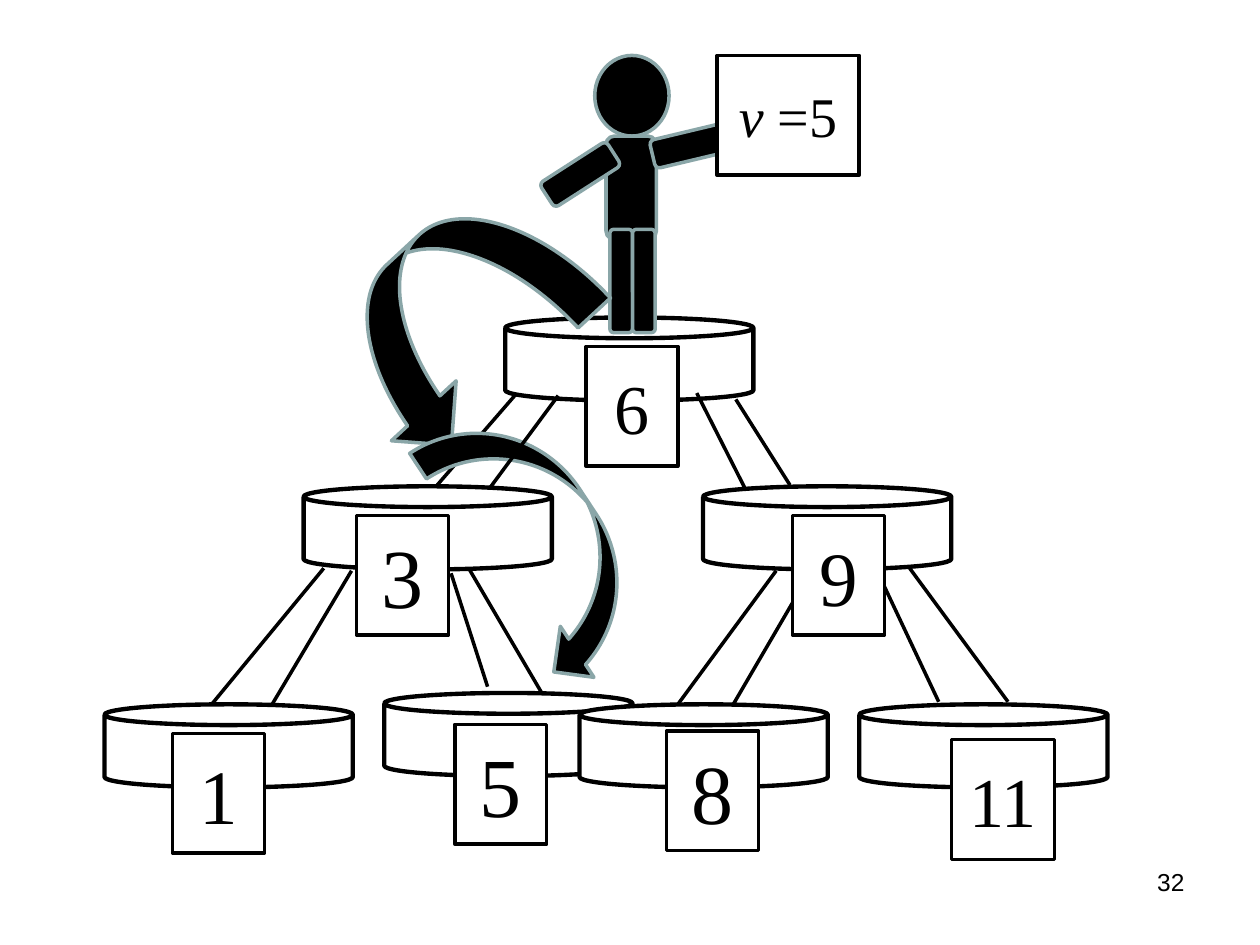
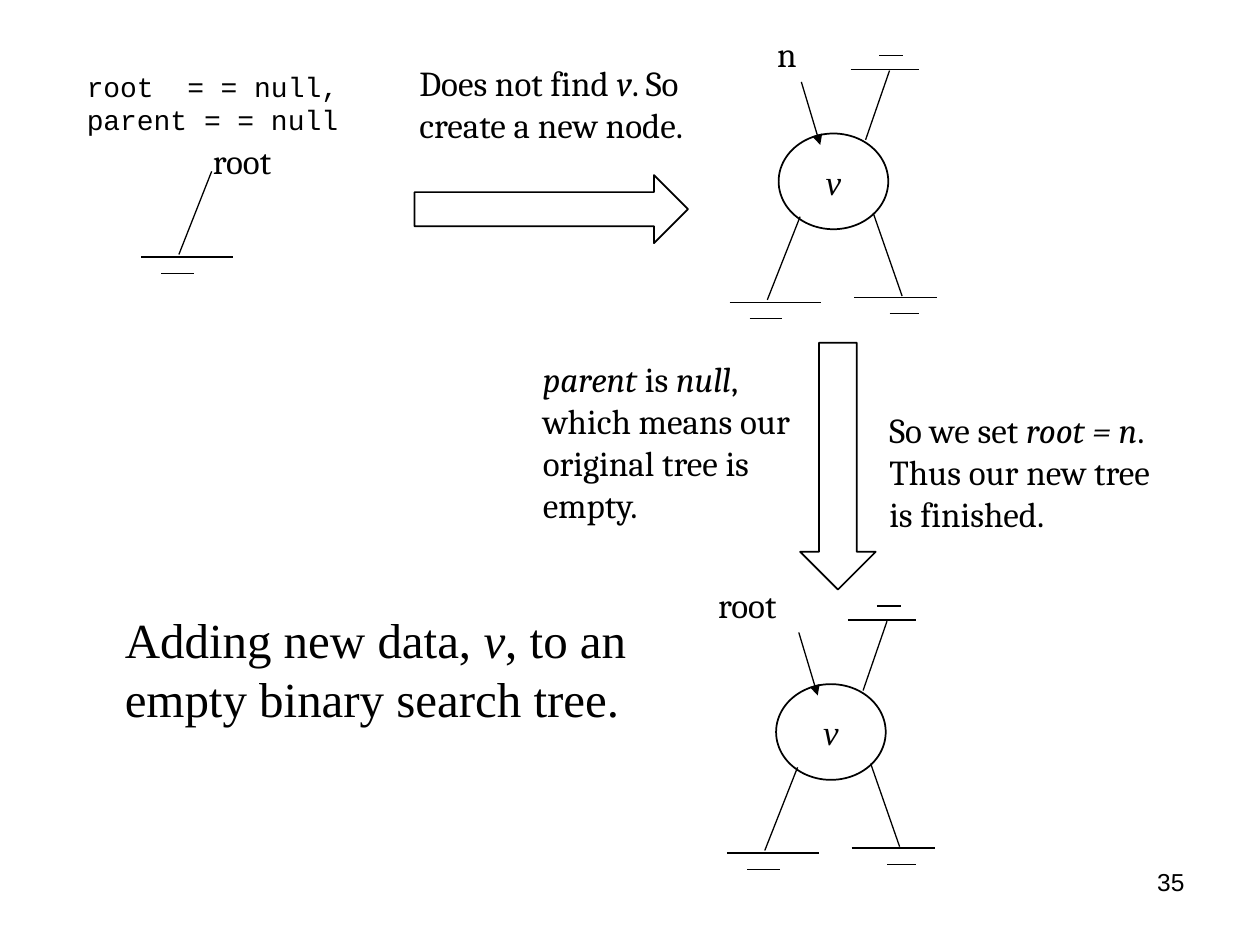
from lxml.etree import SubElement
from pptx import Presentation
from pptx.dml.color import RGBColor
from pptx.enum.shapes import MSO_CONNECTOR, MSO_SHAPE as SHAPE
from pptx.enum.text import MSO_ANCHOR as ANCHOR, MSO_AUTO_SIZE, PP_ALIGN as ALIGN
from pptx.oxml.ns import qn
from pptx.util import Inches, Pt

BLACK = RGBColor(0x00, 0x00, 0x00)
WHITE = RGBColor(0xFF, 0xFF, 0xFF)
GREY_TEAL = RGBColor(0x8A, 0xA6, 0xA8)
SERIF, BODY, CODE, SANS = "Times New Roman", "Cambria", "Courier New", "Arial"
TITLE_ONLY, BLANK = 5, 6


class Deck:
    """Holds the presentation, its style and the current slide."""

    def __init__(self):
        self.prs = Presentation()
        self.prs.slide_width, self.prs.slide_height = Inches(10), Inches(7.5)
        self.slide = None

    def add_slide(self, number, layout=BLANK):
        self.slide = self.prs.slides.add_slide(self.prs.slide_layouts[layout])
        self.text((7.17, 6.83, 2.33, 0.52), [[str(number)]], 14, SANS, ALIGN.RIGHT)

    def fill_text(self, frame, paragraphs, size, font, align=ALIGN.LEFT, anchor=ANCHOR.TOP):
        """Each paragraph is a list of runs; a run in a tuple is italic."""
        frame.word_wrap = True
        frame.auto_size = MSO_AUTO_SIZE.NONE
        frame.vertical_anchor = anchor
        for index, runs in enumerate(paragraphs):
            paragraph = frame.add_paragraph() if index else frame.paragraphs[0]
            paragraph.alignment = align
            for part in runs:
                run = paragraph.add_run()
                run.font.italic = isinstance(part, tuple)
                run.text = part[0] if run.font.italic else part
                run.font.size, run.font.name = Pt(size), font
                run.font.color.rgb = BLACK

    def title(self, box, runs):
        title = self.slide.shapes.title
        title.left, title.top, title.width, title.height = map(Inches, box)
        self.fill_text(title.text_frame, [runs], 28, SERIF)

    def text(self, box, paragraphs, size=20, font=BODY, align=ALIGN.LEFT):
        label = self.slide.shapes.add_textbox(*map(Inches, box))
        self.fill_text(label.text_frame, paragraphs, size, font, align)

    def shape(self, kind, box, fill=None, line=BLACK, width=1.0, rotation=0, flip=False):
        shape = self.slide.shapes.add_shape(kind, *map(Inches, box))
        shape.shadow.inherit = False
        shape.rotation = rotation
        if flip:
            shape.element.spPr.find(qn("a:xfrm")).set("flipH", "1")
        if fill is None:
            shape.fill.background()
        else:
            shape.fill.solid()
            shape.fill.fore_color.rgb = fill
        if line is None:
            shape.line.fill.background()
        else:
            shape.line.color.rgb = line
            shape.line.width = Pt(width)
        return shape

    def line(self, x1, y1, x2, y2, width=0.75, arrow=False):
        line = self.slide.shapes.add_connector(
            MSO_CONNECTOR.STRAIGHT, *map(Inches, (x1, y1, x2, y2)))
        line.line.color.rgb = BLACK
        line.line.width = Pt(width)
        properties = line.element.spPr
        if arrow:
            SubElement(properties.find(qn("a:ln")), qn("a:tailEnd"), type="triangle")
        SubElement(properties, qn("a:effectLst"))

    def ground(self, left, top, width, inset, short, gap):
        """Null symbol: a wide bar and a short one beside it."""
        self.line(left, top, left + width, top)
        self.line(left + inset, top + gap, left + inset + short, top + gap)

    def null_link(self, x, y):
        """Slanted link down to a null symbol."""
        self.line(x, y, x - 0.26, y + 0.66)
        self.ground(x - 0.56, y + 0.68, 0.73, 0.16, 0.26, 0.13)

    def node(self, x, y):
        """Node v with null children, a null parent and an incoming reference."""
        circle = self.shape(SHAPE.OVAL, (x, y, 0.87, 0.76))
        self.fill_text(circle.text_frame, [[("v",)]], 20, SERIF, ALIGN.CENTER, ANCHOR.MIDDLE)
        self.null_link(x + 0.17, y + 0.66)
        self.line(x + 0.75, y + 0.63, x + 0.98, y + 1.29)
        self.ground(x + 0.6, y + 1.3, 0.66, 0.28, 0.23, 0.13)
        self.line(x + 0.69, y + 0.05, x + 0.88, y - 0.5)
        self.ground(x + 0.57, y - 0.51, 0.54, 0.23, 0.19, -0.11)
        self.line(x + 0.18, y - 0.41, x + 0.33, y + 0.09, arrow=True)

    def card(self, left, top, runs, size, width=0.73):
        card = self.shape(SHAPE.RECTANGLE, (left, top, width, 0.95), WHITE, width=2)
        self.fill_text(card.text_frame, [runs], size, SERIF, ALIGN.CENTER, ANCHOR.MIDDLE)


def build_search_slide(deck):
    deck.add_slide(32)

    # Rails that run behind the platforms
    for rail in [(4.38, 2.8, 3.47, 3.85), (5.84, 3.17, 6.27, 3.85),
                 (2.79, 4.53, 2.16, 5.59), (6.16, 4.53, 5.38, 5.59),
                 (3.72, 4.51, 4.3, 5.5), (6.97, 4.55, 7.45, 5.57)]:
        deck.line(*rail, width=2)

    # Platforms
    for left, top in [(4.01, 2.52), (2.41, 3.86), (5.58, 3.86), (0.83, 5.59),
                      (3.05, 5.5), (4.6, 5.59), (6.82, 5.59)]:
        deck.shape(SHAPE.CAN, (left, top, 1.97, 0.66), WHITE, width=2.5)

    # Person: head, body, legs, arms; then the two jumps
    rounded, jump = SHAPE.ROUNDED_RECTANGLE, SHAPE.CURVED_RIGHT_ARROW
    for kind, box, rotation, flip in [
            (SHAPE.OVAL, (4.72, 0.44, 0.59, 0.64), 0, False),
            (rounded, (4.81, 1.08, 0.4, 0.82), 0, False),
            (rounded, (4.84, 1.82, 0.18, 0.82), 0, False),
            (rounded, (5.02, 1.82, 0.18, 0.82), 0, False),
            (rounded, (5.37, 0.84, 0.23, 0.63), 256.6, False),
            (rounded, (4.49, 1.07, 0.23, 0.63), 57.3, False),
            (jump, (2.91, 1.52, 1.4, 2.07), 47.2, False),
            (jump, (3.81, 3.14, 0.97, 2.32), 326.6, True)]:
        deck.shape(kind, box, BLACK, GREY_TEAL, 2, rotation, flip)

    # Rails in front
    for rail in [(5.53, 3.12, 5.91, 3.87), (3.58, 4.55, 3.87, 5.45),
                 (7.22, 4.51, 8, 5.57), (2.57, 4.51, 1.68, 5.59),
                 (4.43, 3.14, 3.89, 3.87), (6.45, 4.51, 5.82, 5.59)]:
        deck.line(*rail, width=2)

    # Number cards
    for left, top, value, size in [
            (4.65, 2.75, "6", 40), (2.83, 4.09, "3", 48), (1.37, 5.82, "1", 44),
            (3.61, 5.75, "5", 48), (5.29, 5.8, "8", 48), (6.29, 4.09, "9", 44)]:
        deck.card(left, top, [value], size)
    deck.card(7.55, 5.87, ["11"], 40, width=0.82)
    deck.card(5.69, 0.44, [("v",), " =5"], 32, width=1.13)


def build_insert_slide(deck):
    deck.add_slide(35, TITLE_ONLY)
    deck.title((0.89, 4.79, 5, 1.04),
               ["Adding new data, ", ("v",), ", to an empty binary search tree."])

    # Empty tree
    condition = deck.shape(SHAPE.RECTANGLE, (0.59, 0.5, 2.59, 0.77), WHITE, None)
    deck.fill_text(condition.text_frame, [["root  = = null,"], ["parent = = null"]], 16, CODE)
    deck.null_link(1.68, 1.36)
    deck.text((1.59, 1.06, 0.89, 0.49), [["root"]])

    # New node
    deck.text((3.23, 0.44, 2.37, 1.38),
              [["Does not find ", ("v",), ". So create a new node."]])
    deck.shape(SHAPE.RIGHT_ARROW, (3.29, 1.39, 2.17, 0.54))
    deck.node(6.18, 1.06)
    deck.text((6.07, 0.21, 0.53, 0.58), [["n"]])

    # New root
    deck.shape(SHAPE.RIGHT_ARROW, (5.67, 3.4, 1.96, 0.6), rotation=90)
    deck.text((4.21, 2.79, 2.37, 1.65),
              [[("parent",), " is ", ("null",), ", which means our original tree is empty."]])
    deck.text((6.96, 3.19, 2.37, 1.58),
              [["So we set ", ("root = n",), ". Thus our new tree is finished."]])
    deck.node(6.16, 5.43)
    deck.text((5.6, 4.58, 0.98, 0.58), [["root"]])


def main():
    deck = Deck()
    build_search_slide(deck)
    build_insert_slide(deck)
    deck.prs.save("out.pptx")


if __name__ == "__main__":
    main()
